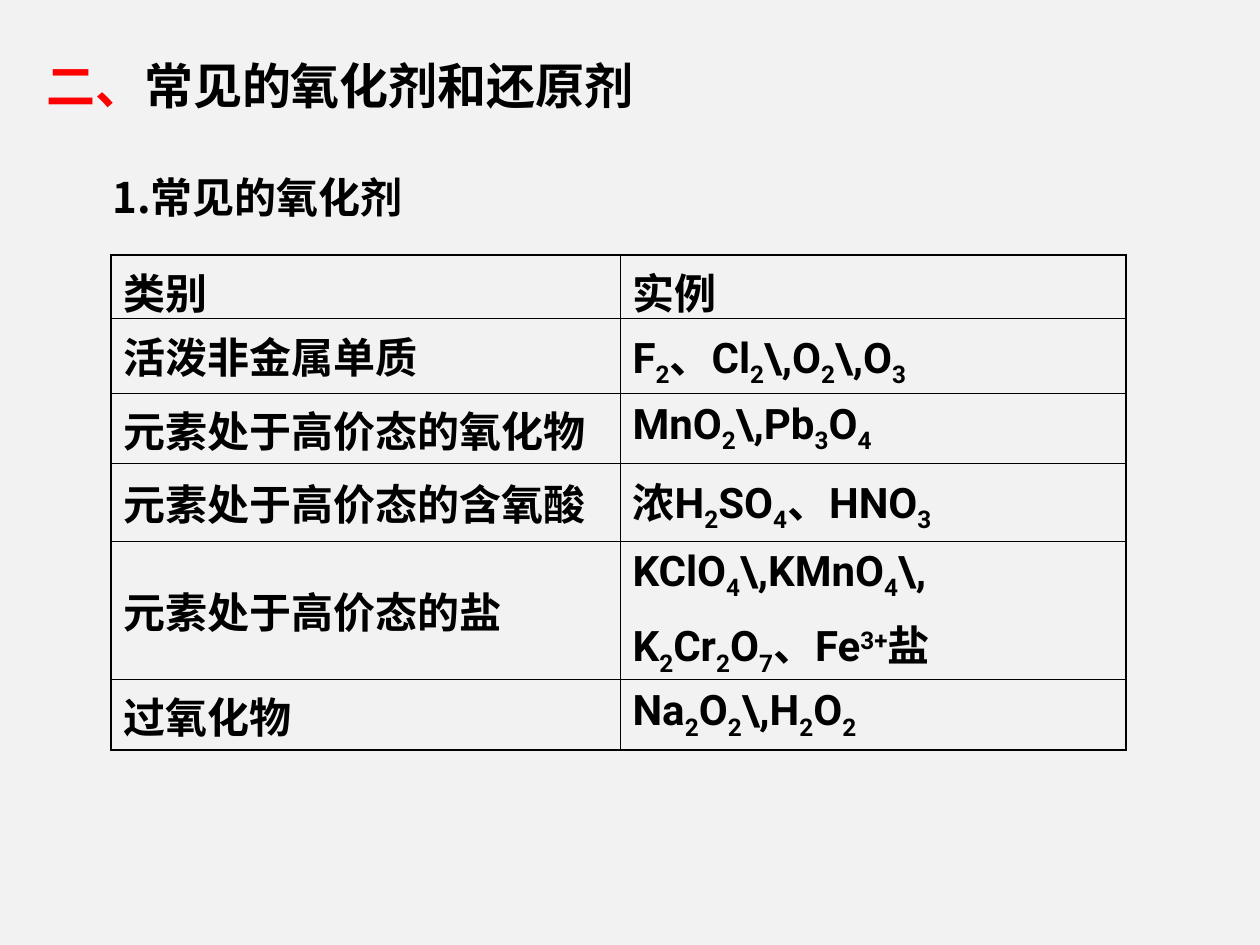
from dataclasses import dataclass

from lxml import etree
from pptx import Presentation
from pptx import util as u
from pptx.dml.color import RGBColor
from pptx.enum import text
from pptx.oxml.ns import qn

BLACK = RGBColor(0x00, 0x00, 0x00)
RED = RGBColor(0xFF, 0x00, 0x00)
PAPER = RGBColor(0xF2, 0xF2, 0xF2)
HEADING_FONT = "Noto Sans CJK SC"
TABLE_FONT = "Roboto"
THIN, THICK = 0.45, 1.08
BASELINES = {"_": "-25000", "^": "30000"}


@dataclass
class Heading:
    left: int
    top: int
    width: int
    height: int
    size: int
    phrases: list[tuple[str, RGBColor]]


@dataclass
class Row:
    height: int
    category: str
    examples: list[str]


HEADINGS = [
    Heading(100, 145, 992, 83, 24, [("1.常见的氧化剂", BLACK)]),
    Heading(34, 26, 655, 96, 28, [("二、", RED), ("常见的氧化剂和还原剂", BLACK)]),
]
TABLE_LEFT, TABLE_TOP = 111, 255
COLUMNS = [509, 506]
ROWS = [
    Row(63, "类别", ["实例"]),
    Row(75, "活泼非金属单质", [r"F|_2|、Cl|_2|\,O|_2|\,O|_3"]),
    Row(70, "元素处于高价态的氧化物", [r"MnO|_2|\,Pb|_3|O|_4"]),
    Row(78, "元素处于高价态的含氧酸", ["浓H|_2|SO|_4|、HNO|_3"]),
    Row(138, "元素处于高价态的盐",
        [r"KClO|_4|\,KMnO|_4|\,", "K|_2|Cr|_2|O|_7|、Fe|^3+|盐"]),
    Row(71, "过氧化物", [r"Na|_2|O|_2|\,H|_2|O|_2"]),
]


def px(n: int) -> int:
    return round(n * 914400 / 126)


def set_font(font, name: str, size: int) -> None:
    font.name = name
    font.size = u.Pt(size)
    font.bold = True


def add_heading(s, h: Heading) -> None:
    sp = s.shapes.add_textbox(px(h.left), px(h.top), px(h.width), px(h.height))
    tf = sp.text_frame
    tf.word_wrap = True
    tf.auto_size = text.MSO_AUTO_SIZE.SHAPE_TO_FIT_TEXT
    p = tf.paragraphs[0]
    p.line_spacing = 1.4
    set_font(p.font, HEADING_FONT, h.size)
    for words, color in h.phrases:
        r = p.add_run()
        r.text = words
        r.font.color.rgb = color


def add_formula(p, formula: str) -> None:
    p.space_before = u.Pt(6)
    set_font(p.font, TABLE_FONT, 24)
    p.font.color.rgb = BLACK
    for token in formula.split("|"):
        r = p.add_run()
        r.text = token.lstrip("_^")
        if token[0] in BASELINES:
            r.font._element.set("baseline", BASELINES[token[0]])


def set_border(cell, side: str, width: float) -> None:
    ln = etree.SubElement(cell._tc.get_or_add_tcPr(), qn(f"a:{side}"),
                          w=str(u.Pt(width)))
    fill = etree.SubElement(ln, qn("a:solidFill"))
    etree.SubElement(fill, qn("a:srgbClr"), val=str(BLACK))


def fill_cell(cell, lines: list[str], outer: set[str]) -> None:
    cell.vertical_anchor = text.MSO_ANCHOR.MIDDLE
    tf = cell.text_frame
    for i, line in enumerate(lines):
        add_formula(tf.add_paragraph() if i else tf.paragraphs[0], line)
    for side in ("lnL", "lnR", "lnT", "lnB"):
        set_border(cell, side, THICK if side in outer else THIN)
    cell.fill.background()


def add_oxidant_table(s) -> None:
    table = s.shapes.add_table(
        len(ROWS), len(COLUMNS), px(TABLE_LEFT), px(TABLE_TOP),
        px(sum(COLUMNS)), px(sum(row.height for row in ROWS))).table
    table.first_row = table.horz_banding = False
    for column, width in zip(table.columns, COLUMNS):
        column.width = px(width)
    for i, row in enumerate(ROWS):
        table.rows[i].height = px(row.height)
        edge = {0: {"lnT"}, len(ROWS) - 1: {"lnB"}}.get(i, set())
        fill_cell(table.cell(i, 0), [row.category], edge | {"lnL"})
        fill_cell(table.cell(i, 1), row.examples, edge | {"lnR"})


def main() -> None:
    prs = Presentation()
    prs.slide_width, prs.slide_height = u.Inches(10), u.Inches(7.5)
    s = prs.slides.add_slide(prs.slide_layouts[6])
    s.background.fill.solid()
    s.background.fill.fore_color.rgb = PAPER
    add_heading(s, HEADINGS[0])
    add_oxidant_table(s)
    add_heading(s, HEADINGS[1])
    prs.save("out.pptx")


if __name__ == "__main__":
    main()
